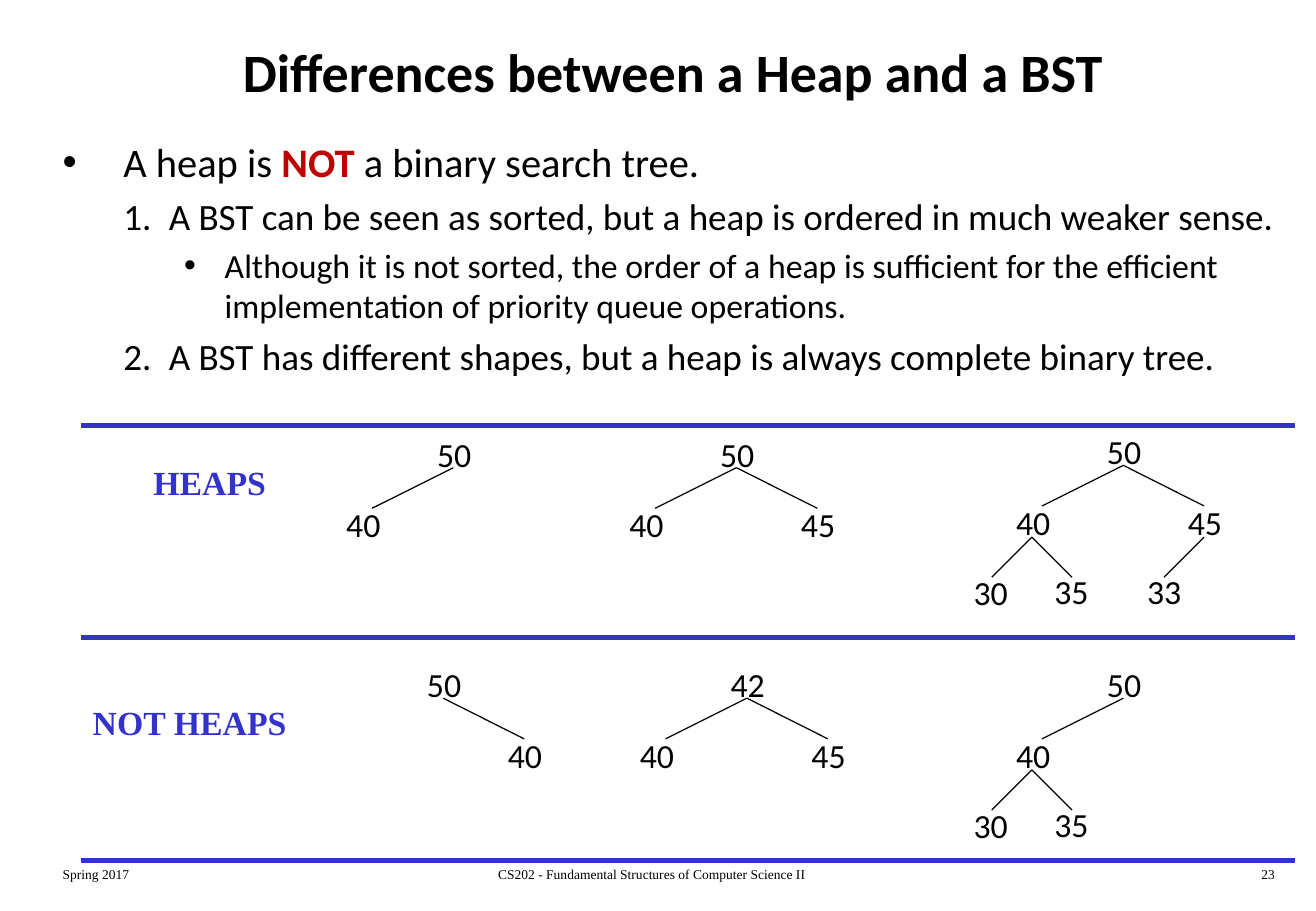
from dataclasses import dataclass

from lxml import etree
from pptx import Presentation
from pptx.dml.color import RGBColor
from pptx.enum.shapes import MSO_CONNECTOR
from pptx.enum.text import MSO_ANCHOR, PP_ALIGN
from pptx.oxml.ns import qn
from pptx.util import Cm, Pt

LEFT, CENTER, RIGHT = PP_ALIGN.LEFT, PP_ALIGN.CENTER, PP_ALIGN.RIGHT
TOP, MIDDLE = MSO_ANCHOR.TOP, MSO_ANCHOR.MIDDLE
STRAIGHT = MSO_CONNECTOR.STRAIGHT


@dataclass(frozen=True)
class Theme:
    """Hold the fonts, colours and type sizes of the slide."""
    sans: str = "Calibri"
    serif: str = "Times New Roman"
    black: RGBColor = RGBColor(0, 0, 0)
    white: RGBColor = RGBColor(255, 255, 255)
    red: RGBColor = RGBColor(0xC0, 0, 0)
    blue: RGBColor = RGBColor(0x33, 0x33, 0xCC)
    title: int = 32
    levels: tuple = (24, 22, 20)
    label: int = 20
    footer: int = 8
    rule: float = 3
    edge: float = 0.75


THEME = Theme()

LEVEL_INDENTS = ((1.27, -1.27), (2.22, -0.95), (3.39, -0.85))
BODY = (
    (0, "•", (("A heap is ", False), ("NOT", True), (" a binary search tree.", False))),
    (1, "arabicPeriod", (("A BST can be seen as sorted, but a heap is ordered in much weaker sense.", False),)),
    (2, "•", (("Although it is not sorted, the order of a heap is sufficient for the "
               "efficient implementation of priority queue operations.", False),)),
    (1, "arabicPeriod", (("A BST has different shapes, but a heap is always complete binary tree.", False),)),
)

NODE_SIZE = (1.22, 1.12)
NODE_OFFSETS = {"root": (0, 0), "L": (-1.9, 1.48), "R": (1.69, 1.48),
                "LL": (-2.79, 2.95), "LR": (-1.1, 2.92), "RL": (0.84, 2.92)}
EDGES = {"L": ((0.59, 0.84), (-1.11, 1.69)), "R": ((0.59, 0.84), (2.28, 1.69)),
         "LL": ((-1.32, 2.34), (-2.16, 3.18)), "LR": ((-1.32, 2.34), (-0.48, 3.18)),
         "RL": ((2.28, 2.34), (1.44, 3.18))}

HEAPS = (
    (8.89, 8.94, {"root": "50", "L": "40"}),
    (14.81, 8.94, {"root": "50", "L": "40", "R": "45"}),
    (22.9, 8.89, {"root": "50", "L": "40", "R": "45", "LL": "30", "LR": "35", "RL": "33"}),
)
NOT_HEAPS = (
    (8.68, 13.76, {"root": "50", "R": "40"}),
    (15.03, 13.76, {"root": "42", "L": "40", "R": "45"}),
    (22.9, 13.76, {"root": "50", "L": "40", "LL": "30", "LR": "35"}),
)


def add_run(paragraph, text, *, size, font=THEME.sans, color=THEME.black, bold=False):
    """Append formatted text to a paragraph."""
    run = paragraph.add_run()
    run.text = text
    run.font.name = font
    run.font.size = Pt(size)
    run.font.bold = bold
    run.font.color.rgb = color


def add_text_frame(shapes, box, *, wrap=True, anchor=TOP):
    """Add a text box at the given box and return its text frame."""
    frame = shapes.add_textbox(*(Cm(length) for length in box)).text_frame
    frame.word_wrap = wrap
    frame.vertical_anchor = anchor
    return frame


def add_text(shapes, text, box, *, align=LEFT, wrap=True, anchor=TOP, **style):
    """Add a one-paragraph text box."""
    paragraph = add_text_frame(shapes, box, wrap=wrap, anchor=anchor).paragraphs[0]
    paragraph.alignment = align
    add_run(paragraph, text, **style)


def add_line(shapes, start, end, *, color, width):
    """Add a straight line without a shadow."""
    line = shapes.add_connector(STRAIGHT, *(Cm(length) for length in (*start, *end)))
    line.line.color.rgb = color
    line.line.width = Pt(width)
    etree.SubElement(line._element.spPr, qn("a:effectLst"))


def set_bullet(paragraph, bullet, margin, indent):
    """Give a paragraph a hanging bullet or an automatic number."""
    properties = paragraph._p.get_or_add_pPr()
    properties.set("marL", str(Cm(margin)))
    properties.set("indent", str(Cm(indent)))
    if bullet == "•":
        etree.SubElement(properties, qn("a:buFont"), typeface="Arial")
        etree.SubElement(properties, qn("a:buChar"), char=bullet)
    else:
        etree.SubElement(properties, qn("a:buFont"), typeface="+mj-lt")
        etree.SubElement(properties, qn("a:buAutoNum"), type=bullet)


def add_body(slide, box):
    """Place the bulleted statements."""
    frame = add_text_frame(slide.shapes, box)
    for index, (level, bullet, runs) in enumerate(BODY):
        paragraph = frame.add_paragraph() if index else frame.paragraphs[0]
        size = THEME.levels[level]
        paragraph.level = level
        paragraph.space_before = Pt(0.2 * size)
        set_bullet(paragraph, bullet, *LEVEL_INDENTS[level])
        for text, stressed in runs:
            add_run(paragraph, text, size=size, bold=stressed,
                    color=THEME.red if stressed else THEME.black)


def add_tree(slide, left, top, nodes):
    """Group a binary tree whose root label starts at left, top."""
    shapes = slide.shapes.add_group_shape().shapes
    for place, value in nodes.items():
        x, y = NODE_OFFSETS[place]
        add_text(shapes, value, (left + x, top + y, *NODE_SIZE), wrap=False, size=THEME.label)
        if place in EDGES:
            start, end = (((left + x, top + y)) for x, y in EDGES[place])
            add_line(shapes, start, end, color=THEME.black, width=THEME.edge)


def add_band(slide, label, label_box, trees):
    """Place a labelled row of trees."""
    add_text(slide.shapes, label, label_box, wrap=False, size=THEME.label,
             font=THEME.serif, color=THEME.blue, bold=True)
    for tree in trees:
        add_tree(slide, *tree)


def add_rules(slide, left, right, heights):
    """Draw the horizontal rules around the bands."""
    for y in heights:
        add_line(slide.shapes, (left, y), (right, y), color=THEME.blue, width=THEME.rule)


def add_footer(slide, top, height):
    """Place the term, course and slide number."""
    for text, left, width, align in (
        ("Spring 2017", 1.06, 5.74, LEFT),
        ("CS202 - Fundamental Structures of Computer Science II", 8.48, 10.31, CENTER),
        ("23", 21.17, 5.74, RIGHT),
    ):
        add_text(slide.shapes, text, (left, top, width, height), align=align,
                 size=THEME.footer, font=THEME.serif)


def main():
    """Build and save the slide."""
    presentation = Presentation()
    presentation.slide_width = Cm(27.52)
    presentation.slide_height = Cm(19.05)
    slide = presentation.slides.add_slide(presentation.slide_layouts[6])
    slide.background.fill.solid()
    slide.background.fill.fore_color.rgb = THEME.white
    add_footer(slide, 17.99, 0.64)
    add_text(slide.shapes, "Differences between a Heap and a BST", (1.06, 0.42, 26.04, 2.12),
             align=CENTER, anchor=MIDDLE, size=THEME.title, bold=True)
    add_body(slide, (1.06, 2.75, 26.46, 14.82))
    add_band(slide, "HEAPS", (2.96, 9.53, 2.9, 1.12), HEAPS)
    add_band(slide, "NOT HEAPS", (1.69, 14.55, 4.6, 1.12), NOT_HEAPS)
    add_rules(slide, 1.69, 27.09, (8.89, 13.34, 17.99))
    presentation.save("out.pptx")


if __name__ == "__main__":
    main()
